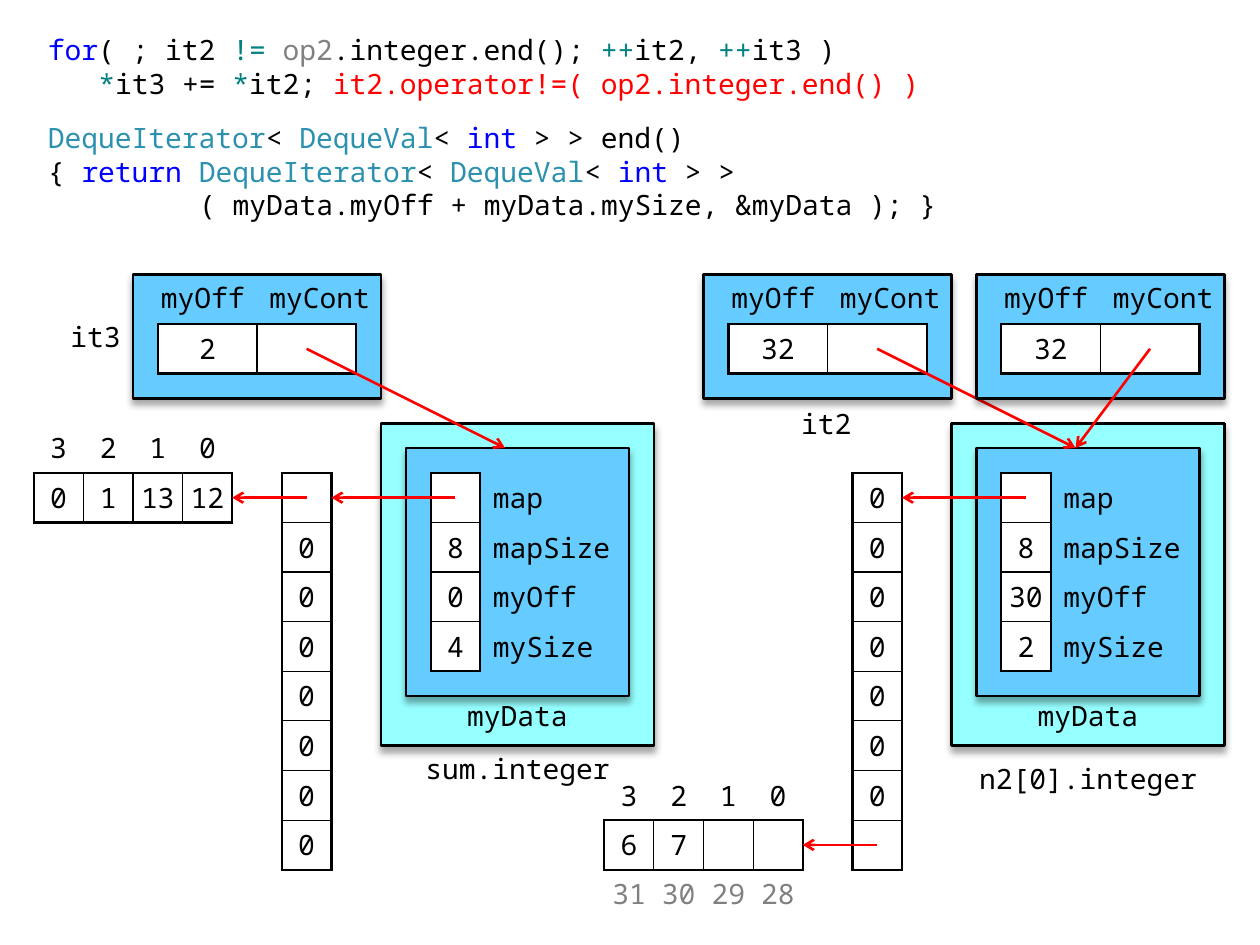
from dataclasses import dataclass

from lxml import etree
from pptx import Presentation
from pptx.dml.color import RGBColor
from pptx.enum.shapes import MSO_CONNECTOR, MSO_SHAPE
from pptx.enum.text import MSO_ANCHOR, MSO_AUTO_SIZE, PP_ALIGN
from pptx.oxml.ns import qn
from pptx.util import Pt

LEFT, CENTER, RIGHT = PP_ALIGN.LEFT, PP_ALIGN.CENTER, PP_ALIGN.RIGHT
TOP, MIDDLE, BOTTOM = MSO_ANCHOR.TOP, MSO_ANCHOR.MIDDLE, MSO_ANCHOR.BOTTOM
PROCESS = MSO_SHAPE.FLOWCHART_PROCESS
STRAIGHT = MSO_CONNECTOR.STRAIGHT
NO_AUTOFIT = MSO_AUTO_SIZE.NONE


@dataclass(frozen=True)
class Theme:
    font: str = "Noto Sans Mono"
    size: float = 16
    character: float = 9.6
    code_pitch: float = 19.15
    outer: float = 1.5
    inner: float = 0.75
    text: str = "000000"
    keyword: str = "0000FF"
    operator: str = "008080"
    muted: str = "808080"
    type_name: str = "2B91AF"
    accent: str = "FF0000"
    container: str = "96FFFF"
    box: str = "66CCFF"
    white: str = "FFFFFF"


THEME = Theme()

# The diagram sits on a one-centimetre grid
UNIT = 28.35
ORIGIN_X, ORIGIN_Y = 19.3, 156.8
RIGHT_HALF = 11.5

# Each code line: indent in characters, space before, coloured pieces
T, K, O, M, N, A = (THEME.text, THEME.keyword, THEME.operator, THEME.muted,
                    THEME.type_name, THEME.accent)
CODE = [
    (0, 0, [("for", K), ("( ; it2 ", T), ("!= ", O), ("op2", M),
            (".integer.end(); ", T), ("++", O), ("it2, ", T), ("++", O), ("it3 )", T)]),
    (3, 0, [("*", O), ("it3 += ", T), ("*", O), ("it2; ", T),
            ("it2.operator!=( op2.integer.end() )", A)]),
    (0, 12, [("DequeIterator", N), ("< ", T), ("DequeVal", N), ("< ", T),
             ("int", K), (" > > end()", T)]),
    (0, 0, [("{ ", T), ("return ", K), ("DequeIterator", N), ("< ", T),
            ("DequeVal", N), ("< ", T), ("int", K), (" > >", T)]),
    (9, 0, [("( myData.myOff + myData.mySize, &myData ); }", T)]),
]


def rgb(color):
    return RGBColor.from_string(color)


def grid_x(column):
    return Pt(ORIGIN_X + column * UNIT)


def grid_y(row):
    return Pt(ORIGIN_Y + row * UNIT)


def grid_area(x, y, width, height):
    return grid_x(x), grid_y(y), Pt(width * UNIT), Pt(height * UNIT)


def format_font(font, color=THEME.text):
    font.name, font.size = THEME.font, Pt(THEME.size)
    font.color.rgb = rgb(color)


def set_margins(target, left, top, right, bottom):
    target.margin_left, target.margin_top = Pt(left), Pt(top)
    target.margin_right, target.margin_bottom = Pt(right), Pt(bottom)


def add_code(slide):
    body = slide.placeholders[1]
    body.left, body.top, body.width, body.height = Pt(20.2), Pt(15.1), Pt(524), Pt(113)
    frame = body.text_frame
    frame.auto_size, frame.vertical_anchor = NO_AUTOFIT, TOP
    set_margins(frame, 7.2, 3.6, 7.2, 3.6)
    for index, (indent, space, pieces) in enumerate(CODE):
        paragraph = frame.add_paragraph() if index else frame.paragraphs[0]
        paragraph.space_before, paragraph.space_after = Pt(space), Pt(0)
        paragraph.line_spacing = Pt(THEME.code_pitch)
        properties = paragraph._p.get_or_add_pPr()
        properties.set("marL", str(Pt(indent * THEME.character)))
        properties.set("indent", "0")
        etree.SubElement(properties, qn("a:buNone"))
        for text, color in pieces:
            run = paragraph.add_run()
            run.text = text
            format_font(run.font, color)


def add_label(slide, text, area, align=CENTER, anchor=TOP, margins=(5.76, 3.6, 5.76, 0)):
    frame = slide.shapes.add_textbox(*grid_area(*area)).text_frame
    frame.word_wrap, frame.vertical_anchor = True, anchor
    set_margins(frame, *margins)
    paragraph = frame.paragraphs[0]
    paragraph.text, paragraph.alignment = text, align
    format_font(paragraph.font)


def add_box(slide, area, color):
    shape = slide.shapes.add_shape(PROCESS, *grid_area(*area))
    shape.fill.solid()
    shape.fill.fore_color.rgb = rgb(color)
    shape.line.color.rgb = rgb(THEME.text)
    shape.line.width = Pt(THEME.outer)
    shape.shadow.inherit = False
    effects = shape._element.spPr.find(qn("a:effectLst"))
    shadow = etree.SubElement(effects, qn("a:outerShdw"), blurRad=str(Pt(4)),
                              dist=str(Pt(3)), dir="5400000", rotWithShape="0")
    black = etree.SubElement(shadow, qn("a:srgbClr"), val=THEME.text)
    etree.SubElement(black, qn("a:alpha"), val="35000")


def add_arrow(slide, start, end):
    arrow = slide.shapes.add_connector(STRAIGHT, grid_x(start[0]), grid_y(start[1]),
                                       grid_x(end[0]), grid_y(end[1]))
    arrow.line.color.rgb = rgb(THEME.accent)
    arrow.line.width = Pt(THEME.outer)
    etree.SubElement(arrow.line._get_or_add_ln(), qn("a:tailEnd"), type="arrow")
    etree.SubElement(arrow._element.spPr, qn("a:effectLst"))


def set_border(cell, side, width):
    properties = cell._tc.get_or_add_tcPr()
    line = etree.SubElement(properties, qn("a:ln" + side), w=str(Pt(width)))
    if width:
        fill = etree.SubElement(line, qn("a:solidFill"))
        etree.SubElement(fill, qn("a:srgbClr"), val=THEME.text)
    else:
        etree.SubElement(line, qn("a:noFill"))


def add_cells(slide, x, y, values, widths, framed, inner=THEME.inner, muted_row=None):
    """Draw a table; framed holds the (row, column) pairs that have borders."""
    area = grid_area(x, y, sum(widths), len(values))
    table = slide.shapes.add_table(len(values), len(widths), *area).table
    table.first_row = table.horz_banding = False
    for column, width in zip(table.columns, widths):
        column.width = Pt(width * UNIT)
    border = {0: 0, 1: THEME.outer, 2: inner}
    for r, row in enumerate(values):
        table.rows[r].height = Pt(UNIT)
        for c, value in enumerate(row):
            cell = table.cell(r, c)
            has_frame = (r, c) in framed
            neighbours = {"L": (r, c - 1), "R": (r, c + 1), "T": (r - 1, c), "B": (r + 1, c)}
            for side, neighbour in neighbours.items():
                set_border(cell, side, border[has_frame + (neighbour in framed)])
            if has_frame:
                cell.fill.solid()
                cell.fill.fore_color.rgb = rgb(THEME.white)
            else:
                cell.fill.background()
            is_name = widths[c] > 1 and not has_frame
            margin = 7.2 if is_name else 2.88
            set_margins(cell, margin, 2.88, margin, 2.88)
            cell.vertical_anchor = TOP if r == muted_row else MIDDLE
            paragraph = cell.text_frame.paragraphs[0]
            paragraph.text = value
            paragraph.alignment = LEFT if is_name else CENTER
            format_font(paragraph.font, THEME.muted if r == muted_row else THEME.text)


def add_map(slide, x, values):
    add_cells(slide, x, 4, [[value] for value in values], [1],
              {(r, 0) for r in range(len(values))})


def add_block(slide, x, y, rows):
    add_cells(slide, x, y, rows, [1] * 4, {(1, c) for c in range(4)}, muted_row=2)


def add_deque(slide, x, fields):
    add_box(slide, (x, 3, 5.5, 6.5), THEME.container)
    add_box(slide, (x + 0.5, 3.5, 4.5, 5), THEME.box)
    names = ["map", "mapSize", "myOff", "mySize"]
    add_cells(slide, x + 1, 4, list(zip(fields, names)), [1, 3],
              {(r, 0) for r in range(4)}, inner=1)
    add_label(slide, "myData", (x + 1.5, 8.5, 2.5, 1), margins=(5.76, 1.44, 5.76, 0))
    add_arrow(slide, (x + 1.5, 4.5), (x - 1, 4.5))


def add_iterator(slide, x, offset, target_x):
    add_box(slide, (x, 0, 5, 2.5), THEME.box)
    add_cells(slide, x + 0.5, 1, [[offset, ""]], [2, 2], {(0, 0), (0, 1)})
    add_label(slide, "myOff", (x, 0, 2.5, 1), RIGHT, margins=(7.2, 3.6, 7.2, 3.6))
    add_label(slide, "myCont", (x + 2.5, 0, 2.5, 1), LEFT, margins=(7.2, 3.6, 0, 3.6))
    add_arrow(slide, (x + 3.5, 1.5), (target_x, 3.5))


def main():
    presentation = Presentation()
    presentation.slide_width, presentation.slide_height = Pt(720), Pt(540)
    slide = presentation.slides.add_slide(presentation.slide_layouts[1])
    title = slide.shapes.title._element
    title.getparent().remove(title)
    add_code(slide)

    # Deques with their maps and element blocks
    add_map(slide, 5, [""] + ["0"] * 7)
    add_map(slide, 5 + RIGHT_HALF, ["0"] * 7 + [""])
    add_deque(slide, 7, ["", "8", "0", "4"])
    add_deque(slide, 7 + RIGHT_HALF, ["", "8", "30", "2"])
    add_block(slide, 0, 3, ["3210", ["0", "1", "13", "12"]])
    add_block(slide, RIGHT_HALF, 10, ["3210", ["6", "7", "", ""], ["31", "30", "29", "28"]])
    add_arrow(slide, (5.5, 4.5), (4, 4.5))
    add_arrow(slide, (5.5 + RIGHT_HALF, 11.5), (4 + RIGHT_HALF, 11.5))
    add_label(slide, "sum.integer", (7.5, 9.5, 4.5, 1))
    add_label(slide, "n2[0].integer", (18.5, 9.5, 5.5, 1), anchor=BOTTOM)

    # Iterators pointing at the deque data
    add_iterator(slide, 2, "2", 9.5)
    add_iterator(slide, 2 + RIGHT_HALF, "32", 9.5 + RIGHT_HALF)
    add_iterator(slide, 19, "32", 9.5 + RIGHT_HALF)
    add_label(slide, "it3", (0.5, 0.5, 1.5, 1.5), RIGHT, MIDDLE, (5.76, 2.88, 7.2, 2.88))
    add_label(slide, "it2", (15, 2.5, 2, 1), CENTER, MIDDLE, (5.76, 2.88, 7.2, 2.88))

    presentation.save("out.pptx")


if __name__ == "__main__":
    main()
